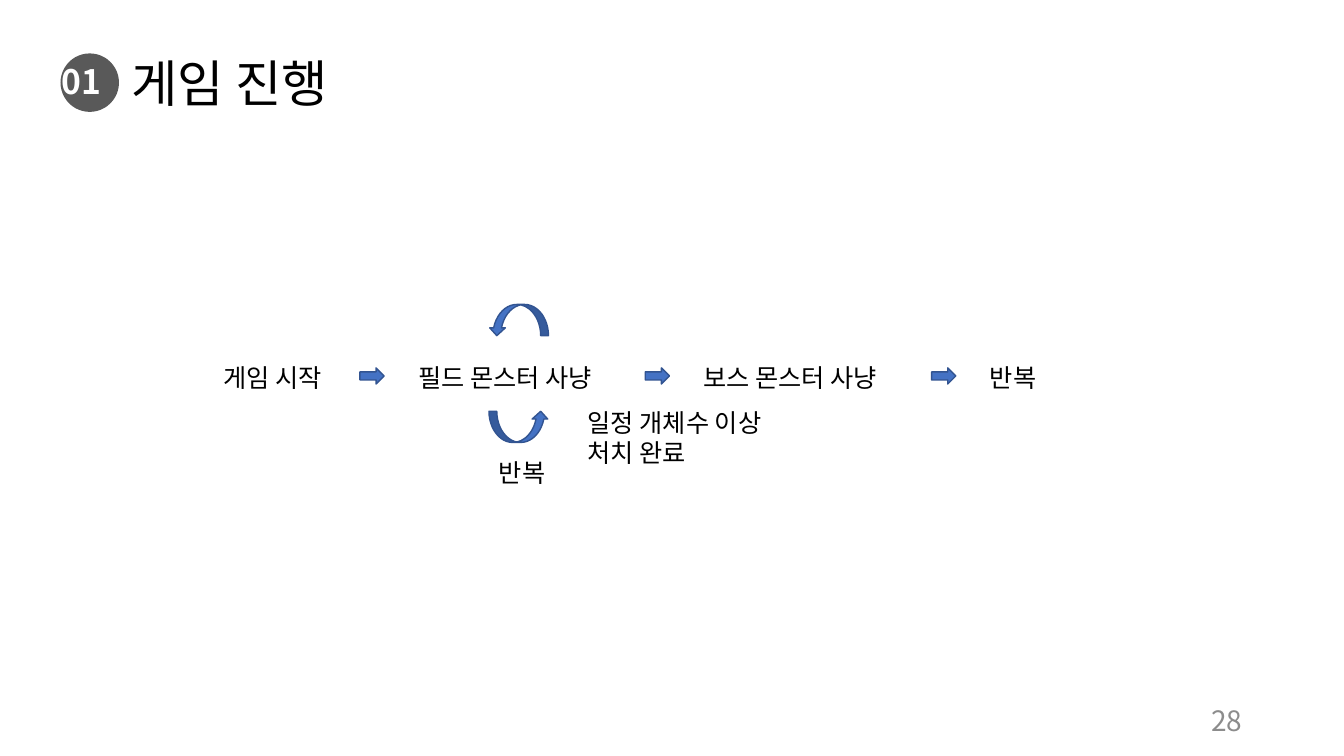
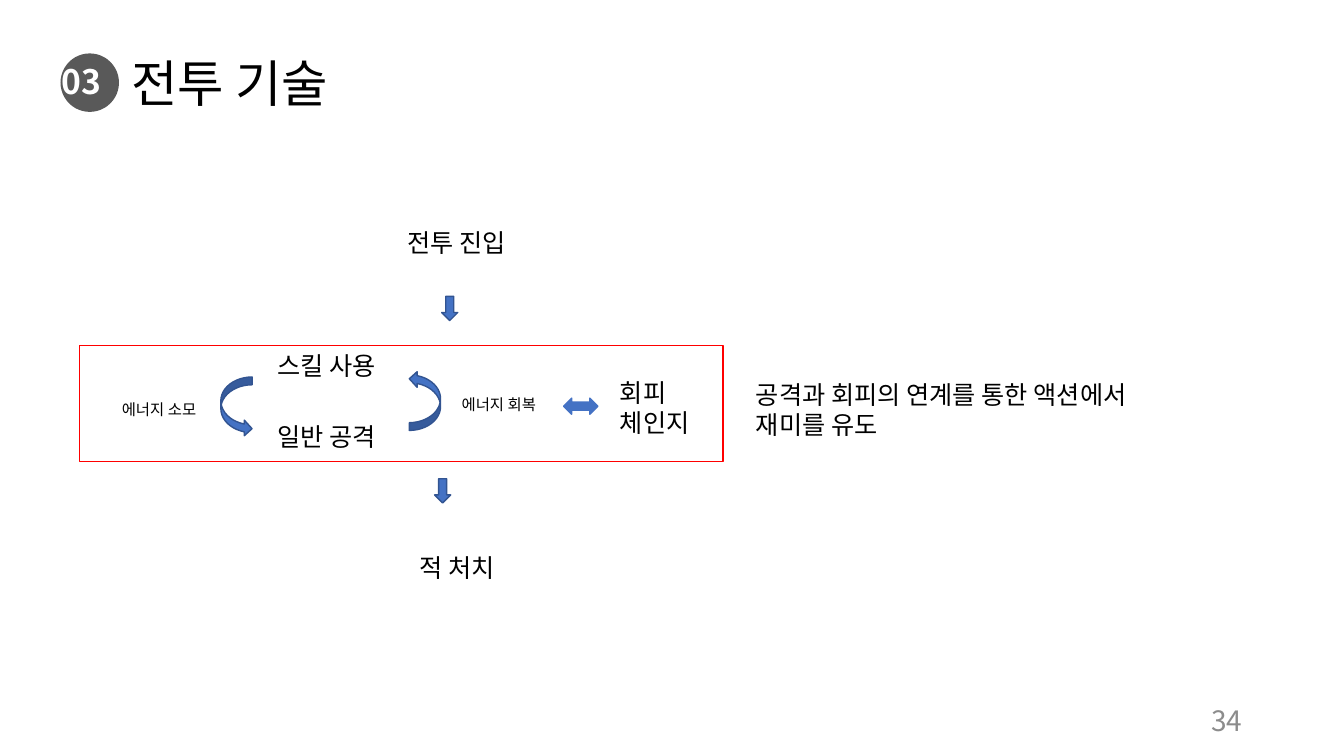
"""Builds two slides on the flow of a game and its combat skills."""
from pptx import Presentation
from pptx import util as u
from pptx.dml.color import RGBColor
from pptx.enum import shapes, text
from pptx.oxml import ns

FONT = "Noto Sans CJK KR"
BLACK, WHITE, GREY, BADGE = "000000", "FFFFFF", "8C8C8C", "595959"
BLUE, NAVY, RED = "4472C4", "325491", "FF0000"
KIND = shapes.MSO_SHAPE
ALIGN, ANCHOR = text.PP_ALIGN, text.MSO_ANCHOR
ARROW, LOOP = (0.24, 0.16), (0.59, 0.31)

GAME_STEPS = [("게임 시작", 2.12, 1.7), ("필드 몬스터 사냥", 4.05, 2.6),
              ("보스 몬스터 사냥", 6.88, 2.6), ("반복", 9.72, 2.6)]
STEP_TOP, ARROW_TOP, ARROW_LEAD = 3.55, 3.65, 0.48

GAME = {
    "number": "01", "title": "게임 진행", "page": "28",
    "labels": [([step], (left, STEP_TOP, width, 0.4), 18) for step, left, width in GAME_STEPS] + [
        (["반복"], (4.85, 4.49, 2.6, 0.4), 18),
        (["일정 개체수 이상 처치 완료"], (5.73, 3.99, 2.32, 0.71), 18),
    ],
    "arrows": [(KIND.RIGHT_ARROW, (left - ARROW_LEAD, ARROW_TOP, *ARROW), NAVY, 0, False)
               for _, left, _ in GAME_STEPS[1:]] + [
        (KIND.CURVED_UP_ARROW, (4.85, 4.08, *LOOP), NAVY, 0, False),
        (KIND.CURVED_DOWN_ARROW, (4.85, 3.02, *LOOP), NAVY, 0, True),
    ],
    "frames": [],
}

COMBAT = {
    "number": "03", "title": "전투 기술", "page": "34",
    "labels": [
        (["전투 진입"], (3.94, 2.21, 2.32, 0.4), 18),
        (["스킬 사용"], (2.65, 3.43, 2.6, 0.4), 18),
        (["일반 공격"], (2.65, 4.13, 2.6, 0.4), 18),
        (["에너지 소모"], (1.11, 3.92, 2.6, 0.29), 11),
        (["에너지 회복"], (4.48, 3.87, 2.6, 0.29), 11),
        (["회피", "체인지"], (6.05, 3.69, 2.32, 0.71), 18),
        (["적 처치"], (4.06, 5.43, 2.32, 0.4), 18),
        (["공격과 회피의 연계를 통한 액션에서 재미를 유도"], (7.4, 3.71, 4.37, 0.71), 18),
    ],
    "arrows": [
        (KIND.RIGHT_ARROW, (4.34, 2.98, *ARROW), NAVY, 90, False),
        (KIND.RIGHT_ARROW, (4.27, 4.79, *ARROW), NAVY, 90, False),
        (KIND.CURVED_UP_ARROW, (2.05, 3.88, *LOOP), NAVY, 90, False),
        (KIND.CURVED_DOWN_ARROW, (3.92, 3.82, *LOOP), NAVY, 90, True),
        (KIND.LEFT_RIGHT_ARROW, (5.59, 3.95, 0.34, 0.16), BLUE, 0, False),
    ],
    "frames": [(0.79, 3.43, 6.38, 1.15)],
}


def rgb(value):
    return RGBColor.from_string(value)


def inches(box):
    return [u.Inches(length) for length in box]


def write(frame, lines, size, color=BLACK, bold=False, align=ALIGN.LEFT,
          anchor=ANCHOR.TOP, spacing=1.0):
    frame.word_wrap = True
    frame.auto_size = text.MSO_AUTO_SIZE.NONE
    frame.vertical_anchor = anchor
    for index, line in enumerate(lines):
        paragraph = frame.add_paragraph() if index else frame.paragraphs[0]
        paragraph.alignment = align
        paragraph.line_spacing = spacing
        run = paragraph.add_run()
        run.text = line
        run.font.size = u.Pt(size)
        run.font.bold = bold
        run.font.name = FONT
        run.font.color.rgb = rgb(color)
        east_asian = run.font._element.makeelement(ns.qn("a:ea"), {"typeface": FONT})
        run.font._element.find(ns.qn("a:latin")).addnext(east_asian)


def add_label(slide, lines, box, size, **style):
    write(slide.shapes.add_textbox(*inches(box)).text_frame, lines, size, **style)


def add_figure(slide, kind, box, fill=None, line=None, rotation=0, flipped=False):
    figure = slide.shapes.add_shape(kind, *inches(box))
    figure.shadow.inherit = False
    figure.rotation = rotation
    if fill:
        figure.fill.solid()
        figure.fill.fore_color.rgb = rgb(fill)
    else:
        figure.fill.background()
    if line:
        figure.line.color.rgb = rgb(line)
        figure.line.width = u.Pt(1)
    else:
        figure.line.fill.background()
    if flipped:
        figure._element.spPr.find(ns.qn("a:xfrm")).set("flipH", "1")


def add_header_and_page(slide, content):
    add_figure(slide, KIND.OVAL, (0.6, 0.53, 0.58, 0.58), BADGE)
    add_label(slide, [content["number"]], (0.51, 0.57, 0.68, 0.49), 24, color=WHITE,
              bold=True, anchor=ANCHOR.BOTTOM, spacing=0.9)
    title = slide.shapes.title
    title.left, title.top, title.width, title.height = inches((1.2, 0.41, 4.87, 0.9))
    write(title.text_frame, [content["title"]], 36, anchor=ANCHOR.MIDDLE, spacing=0.9)
    add_label(slide, [content["page"]], (9.42, 6.95, 3, 0.4), 20, color=GREY,
              align=ALIGN.RIGHT, anchor=ANCHOR.MIDDLE)


def build_slide(deck, content):
    slide = deck.slides.add_slide(deck.slide_layouts[5])
    add_header_and_page(slide, content)
    for lines, box, size in content["labels"]:
        add_label(slide, lines, box, size)
    for kind, box, line, rotation, flipped in content["arrows"]:
        add_figure(slide, kind, box, BLUE, line, rotation, flipped)
    for box in content["frames"]:
        add_figure(slide, KIND.RECTANGLE, box, line=RED)


def main():
    deck = Presentation()
    deck.slide_width, deck.slide_height = inches((13.33, 7.5))
    for content in (GAME, COMBAT):
        build_slide(deck, content)
    deck.save("out.pptx")


if __name__ == "__main__":
    main()
